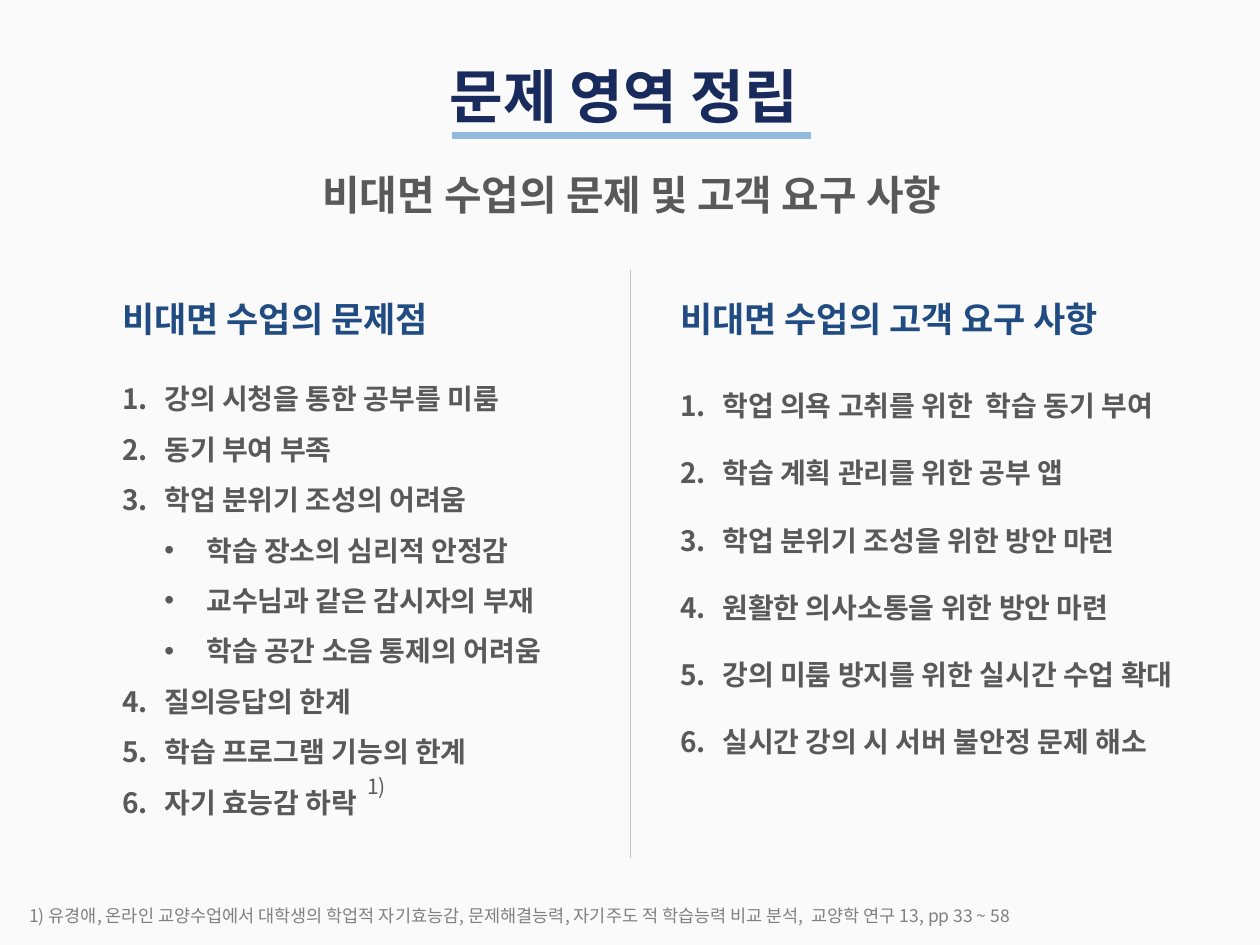
"""Build the slide on problems and customer needs of remote classes."""
from lxml.etree import SubElement
from pptx import Presentation
from pptx.dml.color import RGBColor
from pptx.enum.shapes import MSO_CONNECTOR
from pptx.enum.text import MSO_ANCHOR, MSO_AUTO_SIZE, PP_ALIGN
from pptx.oxml.ns import qn
from pptx.util import Pt

PX = 914400 / 84
FONT = "Noto Sans CJK KR"
PAPER = RGBColor(0xFA, 0xFA, 0xFA)
NAVY = RGBColor(0x19, 0x2A, 0x5D)
BLUE = RGBColor(0x20, 0x4C, 0x82)
SKY = RGBColor(0x90, 0xBA, 0xDE)
DARK = RGBColor(0x59, 0x59, 0x59)
GRAY = RGBColor(0x80, 0x80, 0x80)
RULE = RGBColor(0xC2, 0xC2, 0xC2)

prs = Presentation()
prs.slide_width, prs.slide_height = round(1260 * PX), round(945 * PX)
s = prs.slides.add_slide(prs.slide_layouts[5])
s.background.fill.solid()
s.background.fill.fore_color.rgb = PAPER


def text(lines, box, size, color, bold=True, align=PP_ALIGN.LEFT, spacing=1, listed=False, sp=None):
    box = [round(v * PX) for v in box]
    sp = sp or s.shapes.add_textbox(*box)
    sp.left, sp.top, sp.width, sp.height = box
    tf = sp.text_frame
    tf.word_wrap, tf.auto_size = True, MSO_AUTO_SIZE.NONE
    tf.vertical_anchor = MSO_ANCHOR.TOP
    for i, (line, level) in enumerate(lines):
        p = tf.paragraphs[0] if i == 0 else tf.add_paragraph()
        p.alignment, p.level = align, level
        p.line_spacing = Pt(round(size * 1.2 * spacing, 1))
        p.space_before = Pt(0)
        r = p.add_run()
        r.text = line
        r.font.name, r.font.size, r.font.bold = FONT, Pt(size), bold
        r.font.color.rgb = color
        SubElement(r.font._element, qn("a:ea"), typeface=FONT)
        if listed:
            pPr = p._p.get_or_add_pPr()
            pPr.set("marL", str(round(42 * (level + 1) * PX)))
            pPr.set("indent", str(round(-42 * PX)))
            if level:
                SubElement(pPr, qn("a:buFont"), typeface="Arial")
                SubElement(pPr, qn("a:buChar"), char="•")
            else:
                SubElement(pPr, qn("a:buAutoNum"), type="arabicPeriod")


def line(x1, y1, x2, y2, color, width):
    c = s.shapes.add_connector(MSO_CONNECTOR.STRAIGHT, *[round(v * PX) for v in (x1, y1, x2, y2)])
    c.line.color.rgb, c.line.width = color, Pt(width)
    SubElement(c._element.spPr, qn("a:effectLst"))


text([("문제 영역 정립", 0)], (441, 56, 381, 79), 50, NAVY, sp=s.shapes.title)
line(452, 136, 811, 136, SKY, 6)
text([("비대면 수업의 문제 및 고객 요구 사항", 0)], (81, 166, 1102, 58), 35, DARK, align=PP_ALIGN.CENTER)
line(630, 270, 630, 858, RULE, 0.75)

columns = [
    (114, 361, 501, 460, 1.5, "비대면 수업의 문제점", [
        ("강의 시청을 통한 공부를 미룸", 0),
        ("동기 부여 부족", 0),
        ("학업 분위기 조성의 어려움", 0),
        ("학습 장소의 심리적 안정감", 1),
        ("교수님과 같은 감시자의 부재", 1),
        ("학습 공간 소음 통제의 어려움", 1),
        ("질의응답의 한계", 0),
        ("학습 프로그램 기능의 한계", 0),
        ("자기 효능감 하락", 0),
    ]),
    (672, 351, 560, 541, 2, "비대면 수업의 고객 요구 사항", [
        ("학업 의욕 고취를 위한  학습 동기 부여", 0),
        ("학습 계획 관리를 위한 공부 앱", 0),
        ("학업 분위기 조성을 위한 방안 마련", 0),
        ("원활한 의사소통을 위한 방안 마련", 0),
        ("강의 미룸 방지를 위한 실시간 수업 확대", 0),
        ("실시간 강의 시 서버 불안정 문제 해소", 0),
    ]),
]
for x, y, w, h, spacing, heading, items in columns:
    text([(heading, 0)], (x, 293, w, 51), 30, BLUE)
    text(items, (x, y, w, h), 24, DARK, spacing=spacing, listed=True)

text([("1)", 0)], (359, 769, 50, 34), 18, DARK, bold=False)
text([("1) 유경애, 온라인 교양수업에서 대학생의 학업적 자기효능감, 문제해결능력, 자기주도 적 학습능력 비교 분석,  "
       "교양학 연구 13, pp 33 ~ 58", 0)], (21, 901, 1200, 29), 15, GRAY, bold=False)

prs.save("out.pptx")
